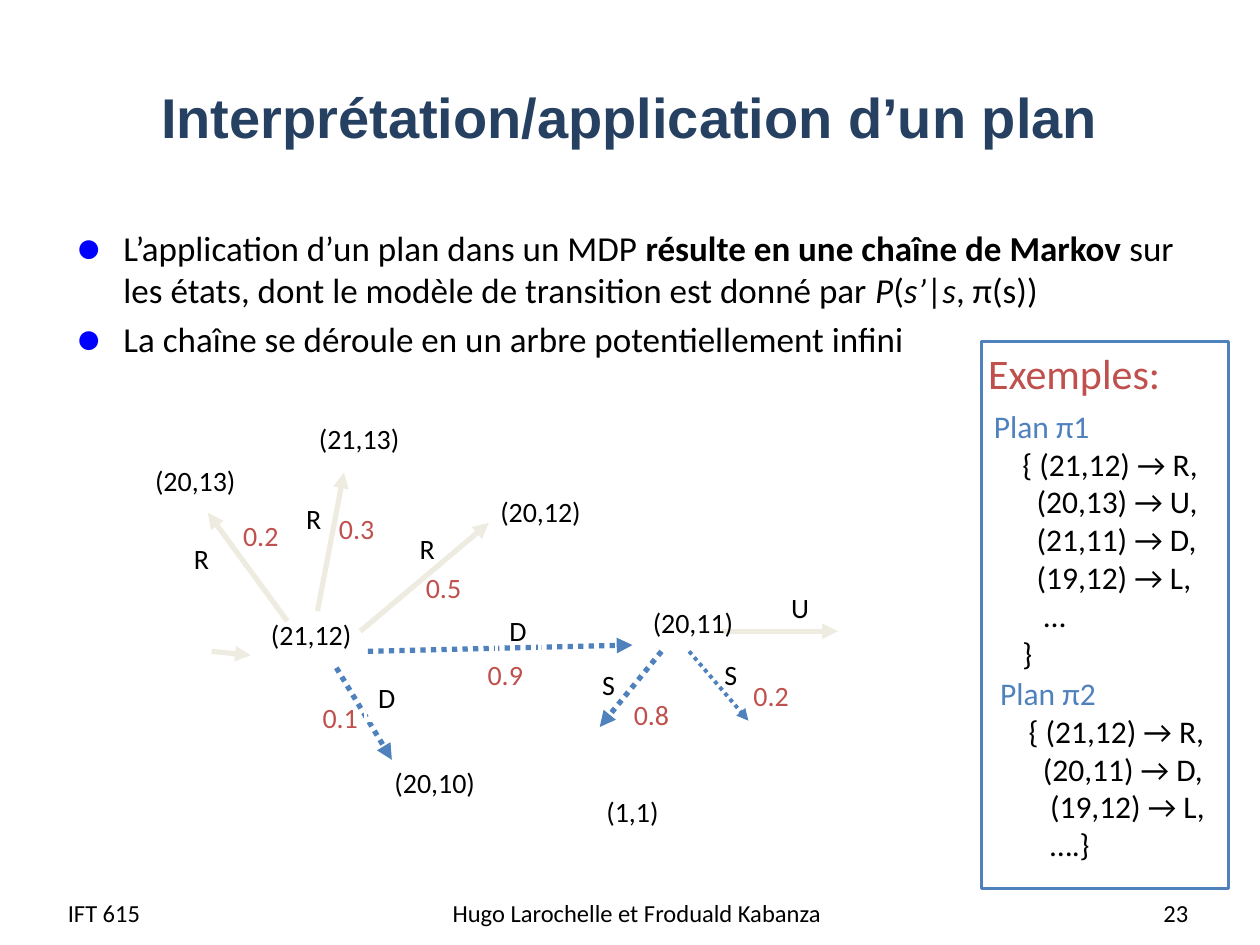
from lxml.etree import SubElement
from pptx import Presentation
from pptx.dml.color import RGBColor
from pptx.enum.dml import MSO_LINE_DASH_STYLE as DASH
from pptx.enum.shapes import MSO_CONNECTOR, MSO_SHAPE
from pptx.enum.text import MSO_ANCHOR, MSO_AUTO_SIZE, PP_ALIGN
from pptx.oxml.ns import qn
from pptx.util import Inches, Pt

BLACK, BLUE, RED, GREY, WHITE = "000000", "4F81BD", "C0504D", "EEECE1", "FFFFFF"
NAVY, BULLET = "254061", "0000FF"

TITLE = "Interprétation/application d’un plan"
BULLETS = [  # (text, style)
    [("L’application d’un plan dans un MDP ", ""),
     ("résulte en une chaîne de Markov", "b"),
     (" sur les états, dont le modèle de transition est donné par ", ""),
     ("P", "i"), ("(", ""), ("s’", "i"), ("|", ""), ("s", "i"), (", π(s))", "")],
    [("La chaîne se déroule en un arbre potentiellement infini", "")],
]
FOOTER = [  # text, left, width, alignment
    ("IFT 615", 0.44, 1.93, PP_ALIGN.LEFT),
    ("Hugo Larochelle et Froduald Kabanza", 3.47, 3.17, PP_ALIGN.CENTER),
    ("23", 7.2, 2.33, PP_ALIGN.RIGHT),
]
FOLLOWED = [  # from, to, width of the dotted arrows
    ((2.92, 5.17), (5.02, 5.12), 3), ((5.47, 5.17), (5.94, 5.72), 2.25),
    ((5.25, 5.17), (4.76, 5.77), 3), ((2.67, 5.3), (3.11, 6.03), 3),
]
OTHERS = [  # from, to
    ((5.73, 5.01), (6.65, 5.01)), ((2.86, 5.01), (3.88, 4.15)),
    ((2.52, 4.85), (2.73, 3.75)), ((2.28, 4.93), (1.65, 4.07)),
    ((1.68, 5.17), (1.99, 5.2)),
]
# text, centre, top
STATES = [
    ("(21,12)", 2.47, 4.85), ("(20,11)", 5.5, 4.76), ("(20,12)", 4.29, 3.88),
    ("(20,13)", 1.55, 3.63), ("(21,13)", 2.85, 3.3), ("(1,1)", 5.02, 6.26),
    ("(20,10)", 3.45, 6.03),
]
ACTIONS = [
    ("U", 6.35, 4.64), ("R", 3.39, 4.17), ("R", 1.6, 4.25), ("R", 2.49, 3.93),
    ("S", 5.8, 5.17), ("S", 4.83, 5.25),
]
FRAMED_ACTIONS = [("D", 3.07, 5.35), ("D", 4.11, 4.82)]
PROBABILITIES = [
    ("0.9", 4.01, 5.17), ("0.5", 3.52, 4.48), ("0.1", 2.7, 5.51), ("0.3", 2.83, 4.01),
    ("0.2", 2.07, 4.07), ("0.8", 5.17, 5.49), ("0.2", 6.12, 5.34),
]
PLANS = [  # name, left, top, height, [(line, indent step)]
    ("Plan π1", 7.79, 3.18, 2.22,
     [("{ (21,12) → R,", 4), ("(20,13) → U,", 6), ("(21,11) → D,", 6),
      ("(19,12) → L,", 6), ("…", 7), ("}", 4)]),
    ("Plan π2", 7.84, 5.3, 1.6,
     [("{ (21,12) → R,", 4), ("(20,11) → D,", 6), ("(19,12) → L,", 7), ("….}", 7)]),
]
INDENT_STEP = 0.0565


def rgb(value):
    return RGBColor.from_string(value)


def style(font, size, color, name="Calibri"):
    font.size, font.name = Pt(size), name
    font.color.rgb = rgb(color)


def place(shape, left, top, width, height):
    shape.left, shape.top = Inches(left), Inches(top)
    shape.width, shape.height = Inches(width), Inches(height)


def add_text(text, left, top, width, height, size, color, align=PP_ALIGN.CENTER):
    box = page.shapes.add_textbox(*map(Inches, (left, top, width, height)))
    frame = box.text_frame
    frame.word_wrap = True
    frame.text = text
    for para in frame.paragraphs:
        para.alignment = align
        style(para.font, size, color)
    return box


def add_frame(left, top, width, height, color):
    frame = page.shapes.add_shape(MSO_SHAPE.RECTANGLE,
                                  *map(Inches, (left, top, width, height)))
    frame.shadow.inherit = False
    frame.fill.background()
    frame.line.color.rgb = rgb(color)
    frame.line.width = Pt(1.5)


def add_arrow(start, end, color, width=3, dash=None):
    arrow = page.shapes.add_connector(MSO_CONNECTOR.STRAIGHT,
                                      *map(Inches, (*start, *end)))
    arrow.line.color.rgb = rgb(color)
    arrow.line.width = Pt(width)
    if dash:
        arrow.line.dash_style = dash
    properties = arrow._element.spPr
    SubElement(properties.find(qn("a:ln")), qn("a:tailEnd"), type="triangle")
    SubElement(properties, qn("a:effectLst"))


def add_bullet(para):
    properties = para._p.get_or_add_pPr()
    properties.set("marL", str(Inches(0.38)))
    properties.set("indent", str(Inches(-0.38)))
    color = SubElement(properties, qn("a:buClr"))
    SubElement(color, qn("a:srgbClr"), val=BULLET)
    SubElement(properties, qn("a:buSzPct"), val="125000")
    SubElement(properties, qn("a:buChar"), char="●")


deck = Presentation()
deck.slide_width, deck.slide_height = Inches(10), Inches(7.5)
page = deck.slides.add_slide(deck.slide_layouts[1])

title = page.shapes.title
place(title, 0.5, 0.3, 9, 1.25)
title.text_frame.text = TITLE
title.text_frame.vertical_anchor = MSO_ANCHOR.MIDDLE
heading = title.text_frame.paragraphs[0]
heading.alignment = PP_ALIGN.CENTER
style(heading.font, 32, NAVY, "Arial")
heading.font.bold = True

body = page.placeholders[1]
place(body, 0.5, 1.75, 9, 4.95)
body.text_frame.auto_size = MSO_AUTO_SIZE.NONE
for index, spans in enumerate(BULLETS):
    para = body.text_frame.paragraphs[0] if index == 0 else body.text_frame.add_paragraph()
    add_bullet(para)
    para.space_before = Pt(4 if index else 0)
    style(para.font, 20, BLACK)
    for text, look in spans:
        span = para.add_run()
        span.text = text
        style(span.font, 20, BLACK)
        span.font.bold, span.font.italic = look == "b", look == "i"

for text, left, width, align in FOOTER:
    box = add_text(text, left, 7.04, width, 0.4, 14, BLACK, align)
    box.text_frame.vertical_anchor = MSO_ANCHOR.MIDDLE

for start, end, width in FOLLOWED:
    add_arrow(start, end, BLUE, width, DASH.ROUND_DOT)
for start, end in OTHERS:
    add_arrow(start, end, GREY)

for _, centre, top in FRAMED_ACTIONS:
    add_frame(centre - 0.17, top, 0.34, 0.37, WHITE)
for labels, width, color in [(STATES, 0.85, BLACK), (ACTIONS + FRAMED_ACTIONS, 0.34, BLACK),
                             (PROBABILITIES, 0.49, RED)]:
    for text, centre, top in labels:
        add_text(text, centre - width / 2, top, width, 0.37, 16, color)

for name, left, top, height, steps in PLANS:
    lines = [name] + [text for text, _ in steps]
    box = add_text("\n".join(lines), left, top, 2.13, height, 18, BLACK, PP_ALIGN.LEFT)
    name_para, *step_paras = box.text_frame.paragraphs
    name_para.font.color.rgb = rgb(BLUE)
    for para, (_, indent) in zip(step_paras, steps):
        para._p.get_or_add_pPr().set("marL", str(Inches(indent * INDENT_STEP)))
add_text("Exemples:", 7.72, 2.71, 1.61, 0.5, 24, RED)
add_frame(7.79, 2.71, 1.96, 4.34, BLUE)

deck.save("out.pptx")
